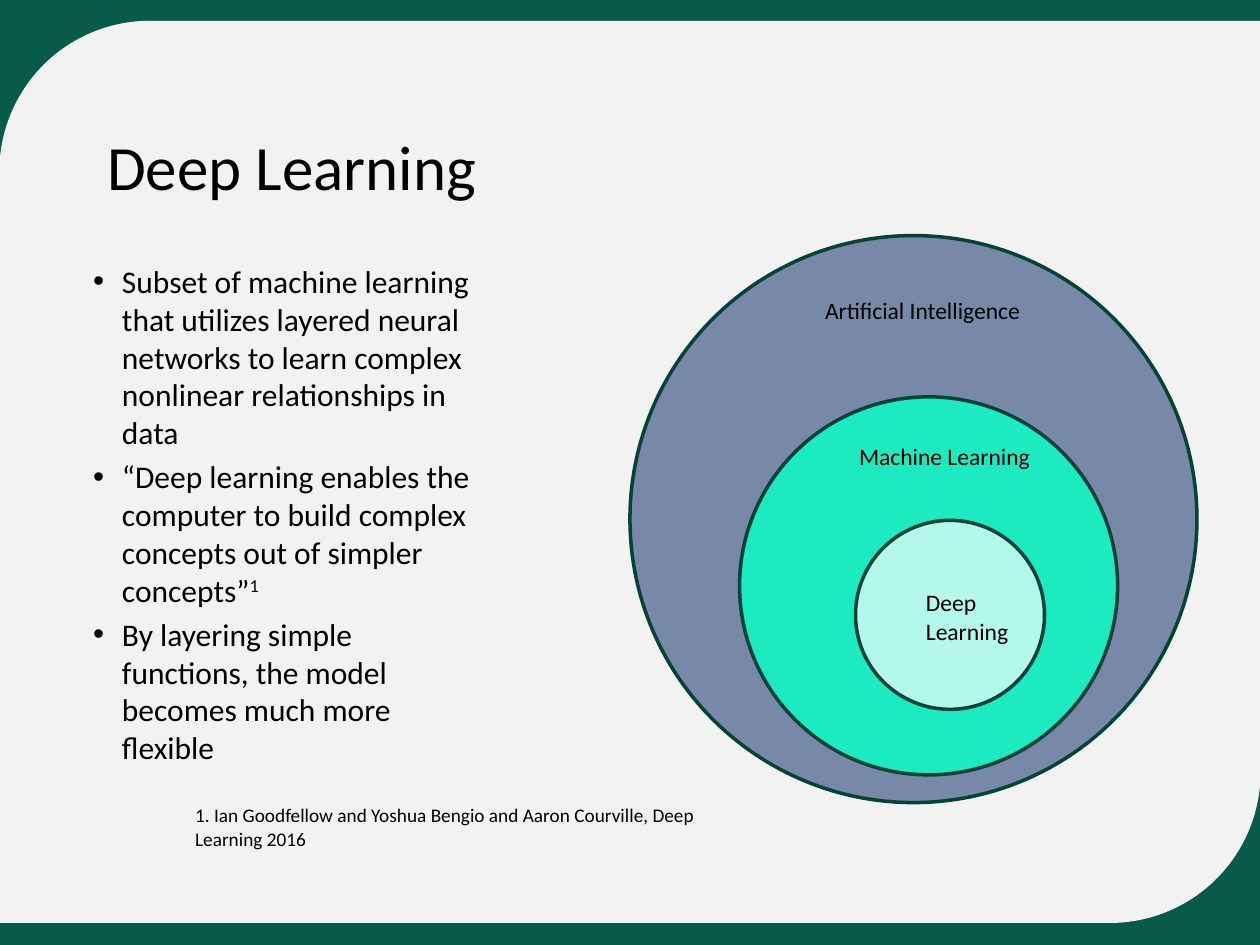
from lxml import etree
from pptx import Presentation
from pptx import util as u
from pptx.dml.color import RGBColor
from pptx.enum import shapes, text
from pptx.oxml.ns import qn

# Content: each bullet is a list of (text, raised) runs
TITLE = "Deep Learning"
BULLETS = [
    [("Subset of machine learning that utilizes layered neural networks "
      "to learn complex nonlinear relationships in data", False)],
    [("“Deep learning enables the computer to build complex concepts "
      "out of simpler concepts”", False), ("1", True)],
    [("By layering simple functions, the model becomes much more flexible",
      False)],
]
# Circles: left, top, diameter, fill, opacity in percent
RINGS = [
    (5, 1.87, 4.5, "002060", 50),
    (5.87, 3.15, 3, "1CEBC2", 100),
    (6.79, 4.13, 1.5, "B3F8EB", 100),
]
# Labels: text, box, size
LABELS = [
    ("Artificial Intelligence", (6.45, 2.3, 1.96, 0.33), 13.5),
    ("Machine Learning", (6.72, 3.46, 1.57, 0.33), 13.5),
    ("Deep Learning", (7.25, 4.62, 1.09, 0.56), 13.5),
    ("1. Ian Goodfellow and Yoshua Bengio and Aaron Courville, "
     "Deep Learning 2016", (1.45, 6.33, 4.42, 0.3), 11),
]


def color(code):
    return RGBColor.from_string(code)


def add_form(kind, box, fill, line, width):
    form = slide.shapes.add_shape(kind, *map(u.Inches, box))
    form.shadow.inherit = False
    form.fill.solid()
    form.fill.fore_color.rgb = color(fill)
    form.line.color.rgb = color(line)
    form.line.width = u.Pt(width)
    return form


def add_box(box):
    frame = slide.shapes.add_textbox(*map(u.Inches, box)).text_frame
    frame.word_wrap = True
    return frame


def add_run(para, words, size, raised=False):
    run = para.add_run()
    run.text = words
    run.font.size = u.Pt(size)
    run.font.name = "Calibri"
    run.font.color.rgb = color("000000")
    if raised:
        run.font._element.set("baseline", "30000")


def add_bullet(para):
    props = para._p.get_or_add_pPr()
    props.set("marL", str(u.Inches(0.23)))
    props.set("indent", str(u.Inches(-0.23)))
    etree.SubElement(props, qn("a:buFont")).set("typeface", "Arial")
    etree.SubElement(props, qn("a:buChar")).set("char", "•")


deck = Presentation()
deck.slide_width, deck.slide_height = u.Inches(10), u.Inches(7.5)
slide = deck.slides.add_slide(deck.slide_layouts[6])

# Background and panel
slide.background.fill.solid()
slide.background.fill.fore_color.rgb = color("085A4A")
add_form(shapes.MSO_SHAPE.ROUND_2_DIAG_RECTANGLE, (0, 0.17, 10, 7.15),
         "F2F2F2", "F2F2F2", 0.75)

# Title
frame = add_box((0.7, 0.9, 3.23, 0.76))
frame.vertical_anchor = text.MSO_ANCHOR.BOTTOM
frame.paragraphs[0].alignment = text.PP_ALIGN.CENTER
add_run(frame.paragraphs[0], TITLE, 36)

# Bullets
frame = add_box((0.64, 2.03, 3.23, 4.17))
for i, runs in enumerate(BULLETS):
    para = frame.add_paragraph() if i else frame.paragraphs[0]
    add_bullet(para)
    if i:
        para.space_before = u.Pt(3.6)
    for words, raised in runs:
        add_run(para, words, 18, raised)

# Nested circles
for left, top, size, fill, alpha in RINGS:
    ring = add_form(shapes.MSO_SHAPE.OVAL, (left, top, size, size),
                    fill, "064337", 2)
    if alpha < 100:
        tint = ring._element.spPr.find(qn("a:solidFill"))[0]
        etree.SubElement(tint, qn("a:alpha")).set("val", str(alpha * 1000))

# Labels and footnote
for words, box, size in LABELS:
    add_run(add_box(box).paragraphs[0], words, size)

deck.save("out.pptx")
